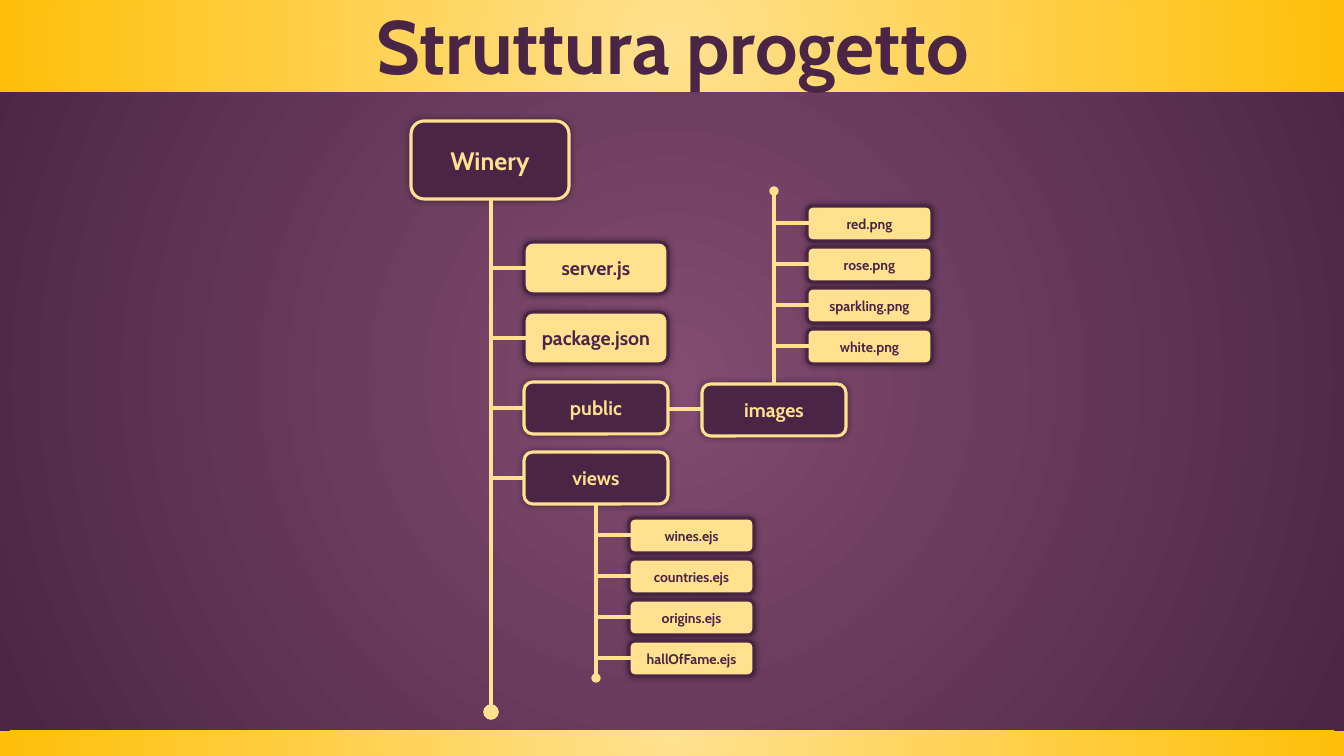
from lxml import etree
from pptx import Presentation
from pptx import util as u
from pptx.dml.color import RGBColor
from pptx.enum import shapes, text
from pptx.oxml import parse_xml
from pptx.oxml.ns import nsdecls, qn

WIDTH, HEIGHT = 1344, 756
EMU_PER_PX = u.Inches(40 / 3) / WIDTH
FONT = "Cabin"
COLORS = {"plum": "4A2545", "mauve": "824C71", "cream": "FFE18F",
          "gold": "FFBF09", "shadow": "000000"}
INDENT = 33  # from a trunk line to its boxes
NODE = (144, 52)
LEAF = (125, 35)


def px(length):
    return u.Emu(round(length * EMU_PER_PX))


def color(name):
    return RGBColor.from_string(COLORS[name])


def radial_fill(fill, owner, inner, outer):
    """Fill with a circular gradient that starts in the centre."""
    fill.gradient()
    for stop, name in zip(fill.gradient_stops, (inner, outer)):
        stop.color.rgb = color(name)
    gradient = next(owner._element.iter(qn("a:gradFill")))
    circle = parse_xml(
        f'<a:path {nsdecls("a")} path="circle">'
        '<a:fillToRect l="50000" t="50000" r="50000" b="50000"/></a:path>')
    gradient.replace(gradient.find(qn("a:lin")), circle)


def write(shape, words, *, size, name, anchor=text.MSO_ANCHOR.MIDDLE, wrap=True):
    frame = shape.text_frame
    frame.word_wrap = wrap
    frame.vertical_anchor = anchor
    paragraph = frame.paragraphs[0]
    paragraph.alignment = text.PP_ALIGN.CENTER
    run = paragraph.add_run()
    run.text = words
    run.font.name = FONT
    run.font.size = u.Pt(size)
    run.font.bold = True
    run.font.color.rgb = color(name)


def add_bar(slide, top, height):
    bar = slide.shapes.add_shape(shapes.MSO_SHAPE.RECTANGLE,
                                 0, px(top), px(WIDTH), px(height))
    bar.shadow.inherit = False
    bar.line.fill.background()
    radial_fill(bar.fill, bar, "cream", "gold")


def add_title(slide, left, top, width, height):
    title = slide.shapes.add_textbox(px(left), px(top), px(width), px(height))
    write(title, "Struttura progetto", size=54, name="plum",
          anchor=text.MSO_ANCHOR.TOP)


def add_box(slide, words, left, top, width, height, *, size, folder):
    """Folders are dark with a light outline, files the other way round."""
    fill, ink = ("plum", "cream") if folder else ("cream", "plum")
    box = slide.shapes.add_shape(shapes.MSO_SHAPE.ROUNDED_RECTANGLE,
                                 px(left), px(top), px(width), px(height))
    box.fill.solid()
    box.fill.fore_color.rgb = color(fill)
    box.line.color.rgb = color(ink)
    box.line.width = u.Pt(2.25)
    box.shadow.inherit = False
    glow = parse_xml(
        f'<a:outerShdw {nsdecls("a")} blurRad="{u.Pt(5)}" dist="0" dir="0" algn="ctr">'
        f'<a:srgbClr val="{COLORS["shadow"]}"><a:alpha val="40000"/></a:srgbClr>'
        '</a:outerShdw>')
    box._element.spPr.find(qn("a:effectLst")).append(glow)
    write(box, words, size=size, name=ink)


def add_line(slide, start, end, dot=None):
    """Draw a connector; dot is the size of the round end, if any."""
    line = slide.shapes.add_connector(shapes.MSO_CONNECTOR.STRAIGHT,
                                      *map(px, (*start, *end)))
    line.line.color.rgb = color("cream")
    line.line.width = u.Pt(2.25)
    if dot:
        etree.SubElement(line.line._get_or_add_ln(), qn("a:tailEnd"),
                         type="oval", w=dot, len=dot)
    etree.SubElement(line._element.spPr, qn("a:effectLst"))


def add_tree(slide, trunk, start, end, entries, top, *, box, pitch, size, dot="med"):
    """Hang a column of (name, is folder) entries on a vertical trunk."""
    add_line(slide, (trunk, start), (trunk, end), dot)
    width, height = box
    left = trunk + INDENT
    for row, (words, folder) in enumerate(entries):
        y = top + row * pitch
        add_box(slide, words, left, y, width, height, size=size, folder=folder)
        reach = 0 if folder else 15  # files hide the end of their branch
        middle = y + height // 2
        add_line(slide, (left + reach, middle), (trunk, middle))


def files(*names):
    return [(name, False) for name in names]


def add_project(slide):
    # Root folder and its contents
    add_box(slide, "Winery", 411, 121, 158, 78, size=18, folder=True)
    contents = files("server.js", "package.json") + [("public", True), ("views", True)]
    add_tree(slide, 491, 198, 712, contents, 242,
             box=NODE, pitch=70, size=14, dot="lg")

    # Views
    add_tree(slide, 596, 504, 678,
             files("wines.ejs", "countries.ejs", "origins.ejs", "hallOfFame.ejs"),
             518, box=LEAF, pitch=41, size=10)

    # Images, whose trunk grows upwards
    add_box(slide, "images", 702, 384, *NODE, size=14, folder=True)
    add_line(slide, (702, 409), (668, 409))
    add_tree(slide, 774, 384, 191,
             files("red.png", "rose.png", "sparkling.png", "white.png"),
             206, box=LEAF, pitch=41, size=10)


def main():
    presentation = Presentation()
    presentation.slide_width, presentation.slide_height = px(WIDTH), px(HEIGHT)
    slide = presentation.slides.add_slide(presentation.slide_layouts[6])
    radial_fill(slide.background.fill, slide, "mauve", "plum")
    add_bar(slide, 0, 92)
    add_title(slide, 319, -6, 707, 102)
    add_bar(slide, 731, 25)
    add_project(slide)
    presentation.save("out.pptx")


if __name__ == "__main__":
    main()
